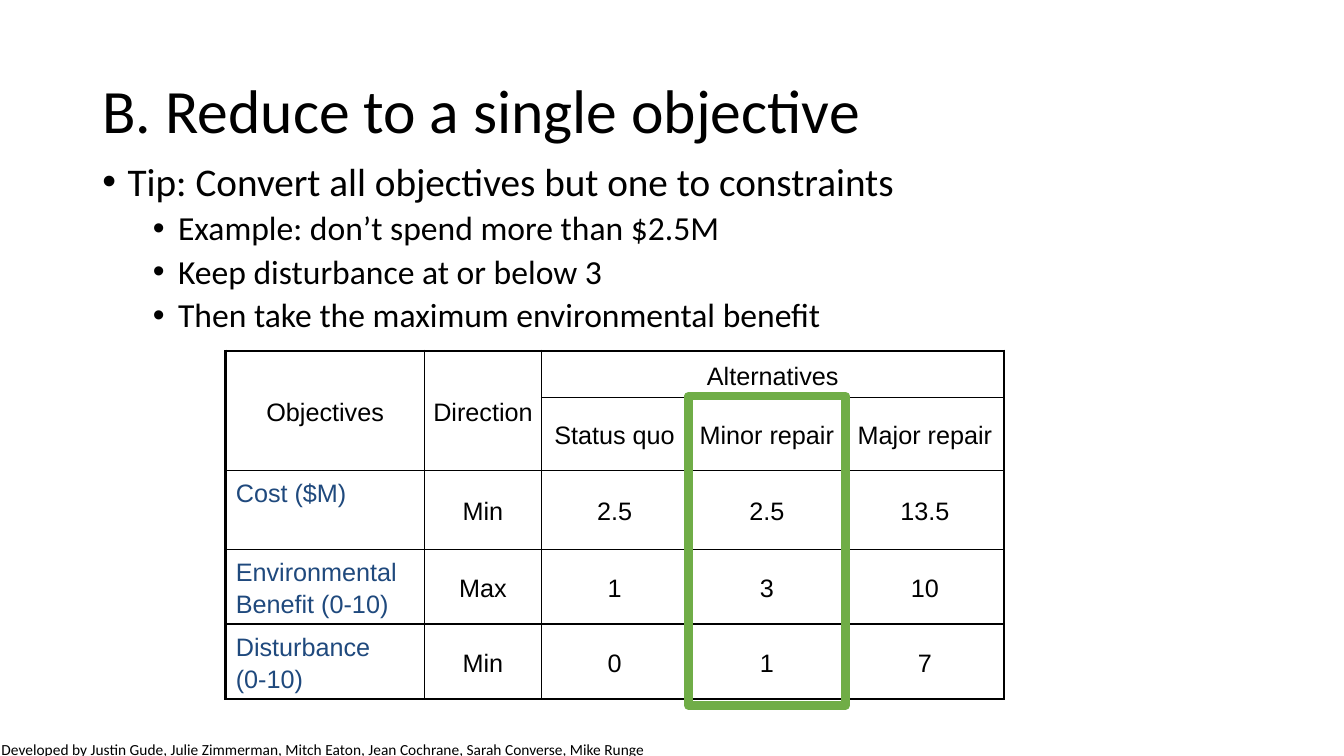
from lxml.etree import SubElement
from pptx import Presentation
from pptx.dml.color import RGBColor
from pptx.enum.shapes import MSO_SHAPE as Shape
from pptx.enum.text import MSO_ANCHOR as Anchor, MSO_AUTO_SIZE as AutoSize, PP_ALIGN as Align
from pptx.oxml.ns import qn
from pptx.util import Pt

COLORS = {"text": "000000", "objective": "1F497D", "paper": "FFFFFF", "choice": "70AD47"}

TIPS = [
    (0, "Tip: Convert all objectives but one to constraints"),
    (1, "Example: don’t spend more than $2.5M"),
    (1, "Keep disturbance at or below 3"),
    (1, "Then take the maximum environmental benefit"),
]
# Per level: text size, left margin, space before
LEVELS = [(28, 18, 10), (24, 54, 5)]

ROWS = [
    ["Objectives", "Direction", "Alternatives", "", ""],
    ["", "", "Status quo", "Minor repair", "Major repair"],
    ["Cost ($M)", "Min", "2.5", "2.5", "13.5"],
    ["Environmental Benefit (0-10)", "Max", "1", "3", "10"],
    ["Disturbance\n(0-10)", "Min", "0", "1", "7"],
]
COLUMN_WIDTHS = [142, 83.5, 104.5, 113, 113]
ROW_HEIGHTS = [33, 52.5, 56, 53.5, 53.5]
HEADER_ROWS = 2


def color(name):
    return RGBColor.from_string(COLORS[name])


def place(box, left, top, width, height):
    box.left, box.top, box.width, box.height = Pt(left), Pt(top), Pt(width), Pt(height)


def write(para, text, size, font="Calibri", ink="text", align=Align.LEFT, spacing=1.0, before=0):
    """Fill one paragraph with formatted text."""
    para.alignment, para.line_spacing, para.space_before = align, spacing, Pt(before)
    span = para.add_run()
    span.text = text
    span.font.size, span.font.name = Pt(size), font
    span.font.color.rgb = color(ink)


def add_bullet(para, margin, hanging=18):
    props = para._p.get_or_add_pPr()
    props.set("marL", str(Pt(margin)))
    props.set("indent", str(-Pt(hanging)))
    SubElement(props, qn("a:buFont"), typeface="Arial")
    SubElement(props, qn("a:buChar"), char="•")


def fill_title(title):
    place(title, 66, 28.75, 828, 104.4)
    frame = title.text_frame
    frame.auto_size, frame.vertical_anchor = AutoSize.NONE, Anchor.MIDDLE
    write(frame.paragraphs[0], "B. Reduce to a single objective", 44, spacing=0.9)


def fill_tips(body):
    place(body, 66, 112.5, 828, 157.5)
    frame = body.text_frame
    frame.auto_size = AutoSize.NONE
    for index, (level, text) in enumerate(TIPS):
        para = frame.add_paragraph() if index else frame.paragraphs[0]
        para.level = level
        size, margin, before = LEVELS[level]
        add_bullet(para, margin)
        write(para, text, size, spacing=0.9, before=before if index else 0)


def set_borders(cell, **widths):
    props = cell._tc.get_or_add_tcPr()
    for side in "LRTB":
        line = SubElement(props, qn(f"a:ln{side}"), w=str(Pt(widths.get(side, 1))))
        fill = SubElement(line, qn("a:solidFill"))
        SubElement(fill, qn("a:srgbClr"), val=COLORS["text"])


def format_cell(cell, row, column):
    thick = 2.25
    widths = {}
    if column == 0:
        widths["L"] = thick
    if row == 0:
        widths["T"] = thick
        if column >= 2:
            widths["R"] = thick
    set_borders(cell, **widths)

    label = column == 0 and row >= HEADER_ROWS
    if column < 2:
        cell.fill.solid()
        cell.fill.fore_color.rgb = color("paper")
    else:
        cell.fill.background()
    padded = label or column >= 2
    cell.margin_left = cell.margin_right = Pt(7.2 if padded else 0)
    cell.margin_top = cell.margin_bottom = Pt(3.6 if padded else 0)
    cell.vertical_anchor = Anchor.TOP if label else Anchor.MIDDLE

    frame = cell.text_frame
    for index, text in enumerate(ROWS[row][column].split("\n")):
        if text:
            para = frame.add_paragraph() if index else frame.paragraphs[0]
            write(para, text, 18, font="Arial", spacing=1.15,
                  ink="objective" if label else "text",
                  align=Align.LEFT if label else Align.CENTER)


def add_objectives_table(page):
    table = page.shapes.add_table(
        len(ROWS), len(COLUMN_WIDTHS), Pt(161.25), Pt(250.75),
        Pt(sum(COLUMN_WIDTHS)), Pt(sum(ROW_HEIGHTS))).table
    table.first_row = table.horz_banding = False
    for column, width in zip(table.columns, COLUMN_WIDTHS):
        column.width = Pt(width)
    for row, height in zip(table.rows, ROW_HEIGHTS):
        row.height = Pt(height)
    for row in range(len(ROWS)):
        for column in range(len(COLUMN_WIDTHS)):
            format_cell(table.cell(row, column), row, column)
    for column in range(2):
        table.cell(0, column).merge(table.cell(1, column))
    table.cell(0, 2).merge(table.cell(0, 4))


def add_choice_frame(page):
    box = page.shapes.add_shape(Shape.RECTANGLE, Pt(491.75), Pt(283), Pt(112.25), Pt(221))
    box.shadow.inherit = False
    box.fill.background()
    box.line.color.rgb = color("choice")
    box.line.width = Pt(6)


def add_credit(page):
    frame = page.shapes.add_textbox(Pt(-6), Pt(525), Pt(705.6), Pt(20.6)).text_frame
    frame.word_wrap = True
    write(frame.paragraphs[0], "Developed by Justin Gude, Julie Zimmerman, Mitch Eaton, "
          "Jean Cochrane, Sarah Converse, Mike Runge", 11)


def main():
    deck = Presentation()
    deck.slide_width, deck.slide_height = Pt(960), Pt(540)
    page = deck.slides.add_slide(deck.slide_layouts[1])
    fill_title(page.shapes.title)
    fill_tips(page.placeholders[1])
    add_objectives_table(page)
    add_choice_frame(page)
    add_credit(page)
    deck.save("out.pptx")


if __name__ == "__main__":
    main()
